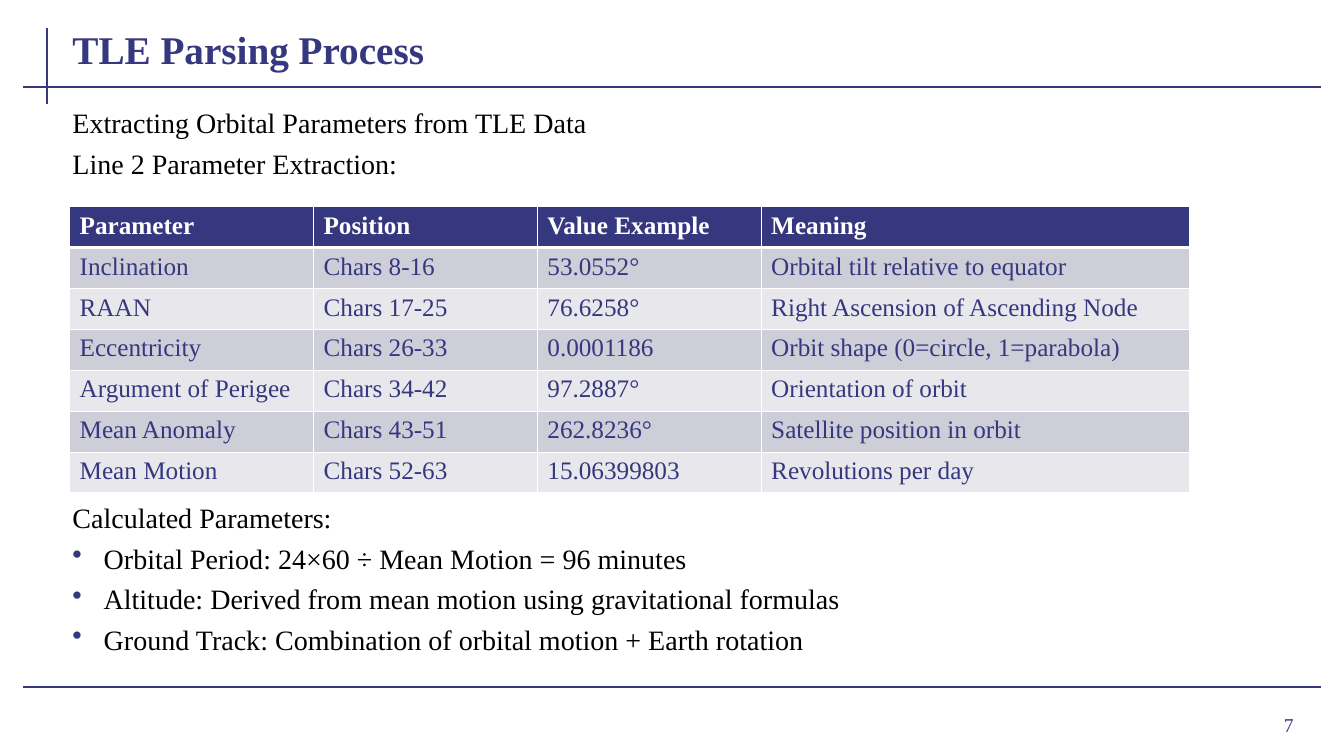
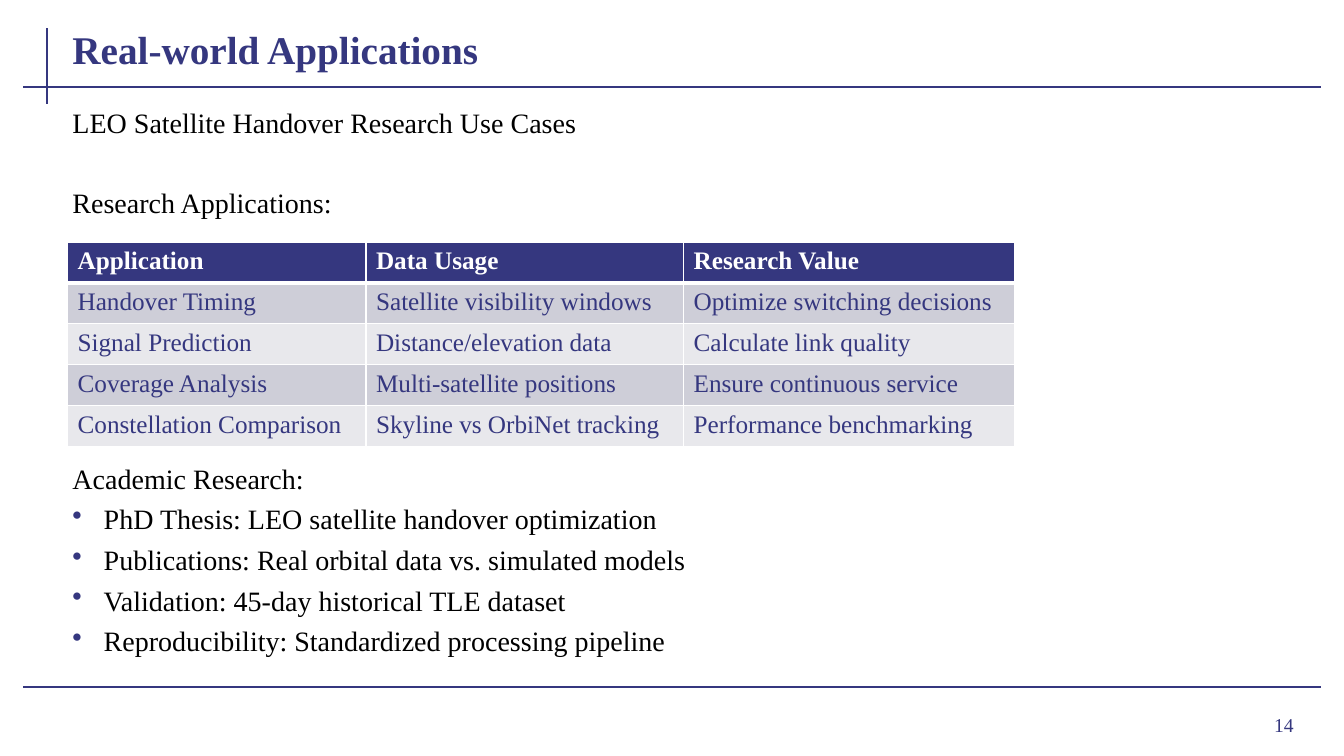
"""Build two satellite-data slides that share a ruled frame, a table and bulleted text."""
from lxml import etree
from pptx import Presentation
from pptx.dml.color import RGBColor
from pptx.enum.shapes import MSO_CONNECTOR
from pptx.enum.text import MSO_ANCHOR, PP_ALIGN
from pptx.oxml.ns import qn
from pptx.util import Inches, Pt

STRAIGHT = MSO_CONNECTOR.STRAIGHT
TOP, MIDDLE, BOTTOM = MSO_ANCHOR.TOP, MSO_ANCHOR.MIDDLE, MSO_ANCHOR.BOTTOM
LEFT, RIGHT = PP_ALIGN.LEFT, PP_ALIGN.RIGHT

NAVY = RGBColor(0x35, 0x37, 0x7F)
BLACK = RGBColor(0, 0, 0)
WHITE = RGBColor(0xFF, 0xFF, 0xFF)
BANDS = (RGBColor(0xCE, 0xCE, 0xD8), RGBColor(0xE8, 0xE8, 0xEC))
FONT = "Times New Roman"

FRAME_LINES = (
    (0.47, 0.28, 0.47, 1.03),
    (0.23, 0.86, 13.1, 0.86),
    (0.23, 6.82, 13.1, 6.82),
)
TITLE_BOX = (0.62, 0.15, 12.49, 0.62)
BODY_BOX = (0.62, 1, 12.49, 5.68)
NUMBER_BOX = (11.96, 6.93, 0.97, 0.52)
ROW_HEIGHT = 0.406
LINE_PITCH = 28
PARAGRAPH_GAP = 5
BULLET_INDENT = 0.31

SLIDES = [
    {
        "title": "TLE Parsing Process",
        "number": "7",
        "intro": ["Extracting Orbital Parameters from TLE Data", "Line 2 Parameter Extraction:"],
        "intro_skip": 0,
        "table_skip": 8,
        "heading": "Calculated Parameters:",
        "bullets": [
            "Orbital Period: 24×60 ÷ Mean Motion = 96 minutes",
            "Altitude: Derived from mean motion using gravitational formulas",
            "Ground Track: Combination of orbital motion + Earth rotation",
        ],
        "table_at": (0.69, 2.05),
        "columns": (2.42, 2.22, 2.22, 4.25),
        "rows": [
            ("Parameter", "Position", "Value Example", "Meaning"),
            ("Inclination", "Chars 8-16", "53.0552°", "Orbital tilt relative to equator"),
            ("RAAN", "Chars 17-25", "76.6258°", "Right Ascension of Ascending Node"),
            ("Eccentricity", "Chars 26-33", "0.0001186", "Orbit shape (0=circle, 1=parabola)"),
            ("Argument of Perigee", "Chars 34-42", "97.2887°", "Orientation of orbit"),
            ("Mean Anomaly", "Chars 43-51", "262.8236°", "Satellite position in orbit"),
            ("Mean Motion", "Chars 52-63", "15.06399803", "Revolutions per day"),
        ],
    },
    {
        "title": "Real-world Applications",
        "number": "14",
        "intro": ["LEO Satellite Handover Research Use Cases", "Research Applications:"],
        "intro_skip": 1,
        "table_skip": 6,
        "heading": "Academic Research:",
        "bullets": [
            "PhD Thesis: LEO satellite handover optimization",
            "Publications: Real orbital data vs. simulated models",
            "Validation: 45-day historical TLE dataset",
            "Reproducibility: Standardized processing pipeline",
        ],
        "table_at": (0.67, 2.4),
        "columns": (2.96, 3.15, 3.28),
        "rows": [
            ("Application", "Data Usage", "Research Value"),
            ("Handover Timing", "Satellite visibility windows", "Optimize switching decisions"),
            ("Signal Prediction", "Distance/elevation data", "Calculate link quality"),
            ("Coverage Analysis", "Multi-satellite positions", "Ensure continuous service"),
            ("Constellation Comparison", "Skyline vs OrbiNet tracking", "Performance benchmarking"),
        ],
    },
]


def write(paragraph, text, size, color, bold=False):
    run = paragraph.add_run()
    run.text = text
    run.font.name = FONT
    run.font.size = Pt(size)
    run.font.bold = bold
    run.font.color.rgb = color


def add_text_frame(slide, box, anchor):
    frame = slide.shapes.add_textbox(*map(Inches, box)).text_frame
    frame.word_wrap = True
    frame.vertical_anchor = anchor
    return frame


def add_label(slide, box, text, size, anchor, alignment=LEFT, bold=False):
    paragraph = add_text_frame(slide, box, anchor).paragraphs[0]
    paragraph.alignment = alignment
    write(paragraph, text, size, NAVY, bold)


def add_bullet(paragraph):
    properties = paragraph._p.get_or_add_pPr()
    indent = Inches(BULLET_INDENT)
    properties.set("marL", str(indent))
    properties.set("indent", str(-indent))
    color = etree.SubElement(properties, qn("a:buClr"))
    etree.SubElement(color, qn("a:srgbClr"), val=str(NAVY))
    etree.SubElement(properties, qn("a:buChar"), char="•")


def add_frame(slide, title, number):
    for line in FRAME_LINES:
        connector = slide.shapes.add_connector(STRAIGHT, *map(Inches, line))
        connector.line.color.rgb = NAVY
        connector.line.width = Pt(1.5)
        etree.SubElement(connector._element.spPr, qn("a:effectLst"))
    add_label(slide, TITLE_BOX, title, 28, BOTTOM, bold=True)
    add_label(slide, NUMBER_BOX, number, 14, MIDDLE, RIGHT)


def add_body(slide, content):
    first, second = content["intro"]
    lines = [
        (first, 0, False),
        (second, content["intro_skip"], False),
        (content["heading"], content["table_skip"], False),
        *((text, 0, True) for text in content["bullets"]),
    ]
    frame = add_text_frame(slide, BODY_BOX, TOP)
    for index, (text, skipped, bulleted) in enumerate(lines):
        paragraph = frame.add_paragraph() if index else frame.paragraphs[0]
        paragraph.space_before = Pt(PARAGRAPH_GAP + LINE_PITCH * skipped)
        if bulleted:
            add_bullet(paragraph)
        write(paragraph, text, 20, BLACK)


def set_borders(cell, bottom_width):
    properties = cell._tc.get_or_add_tcPr()
    widths = {"a:lnL": 1, "a:lnR": 1, "a:lnT": 1, "a:lnB": bottom_width}
    for position, (tag, width) in enumerate(widths.items()):
        border = etree.Element(qn(tag), w=str(Pt(width)))
        fill = etree.SubElement(border, qn("a:solidFill"))
        etree.SubElement(fill, qn("a:srgbClr"), val=str(WHITE))
        properties.insert(position, border)


def add_data_table(slide, content):
    rows, columns = content["rows"], content["columns"]
    size = (sum(columns), ROW_HEIGHT * len(rows))
    box = map(Inches, content["table_at"] + size)
    table = slide.shapes.add_table(len(rows), len(columns), *box).table
    for column, width in zip(table.columns, columns):
        column.width = Inches(width)
    for row_index, values in enumerate(rows):
        header = row_index == 0
        for column_index, value in enumerate(values):
            cell = table.cell(row_index, column_index)
            cell.fill.solid()
            cell.fill.fore_color.rgb = NAVY if header else BANDS[(row_index - 1) % 2]
            set_borders(cell, 3 if header else 1)
            write(cell.text_frame.paragraphs[0], value, 18, WHITE if header else NAVY, header)


def main():
    presentation = Presentation()
    presentation.slide_width = Inches(13.33)
    presentation.slide_height = Inches(7.5)
    blank = presentation.slide_layouts[6]
    for content in SLIDES:
        slide = presentation.slides.add_slide(blank)
        add_frame(slide, content["title"], content["number"])
        add_body(slide, content)
        add_data_table(slide, content)
    presentation.save("out.pptx")


if __name__ == "__main__":
    main()
